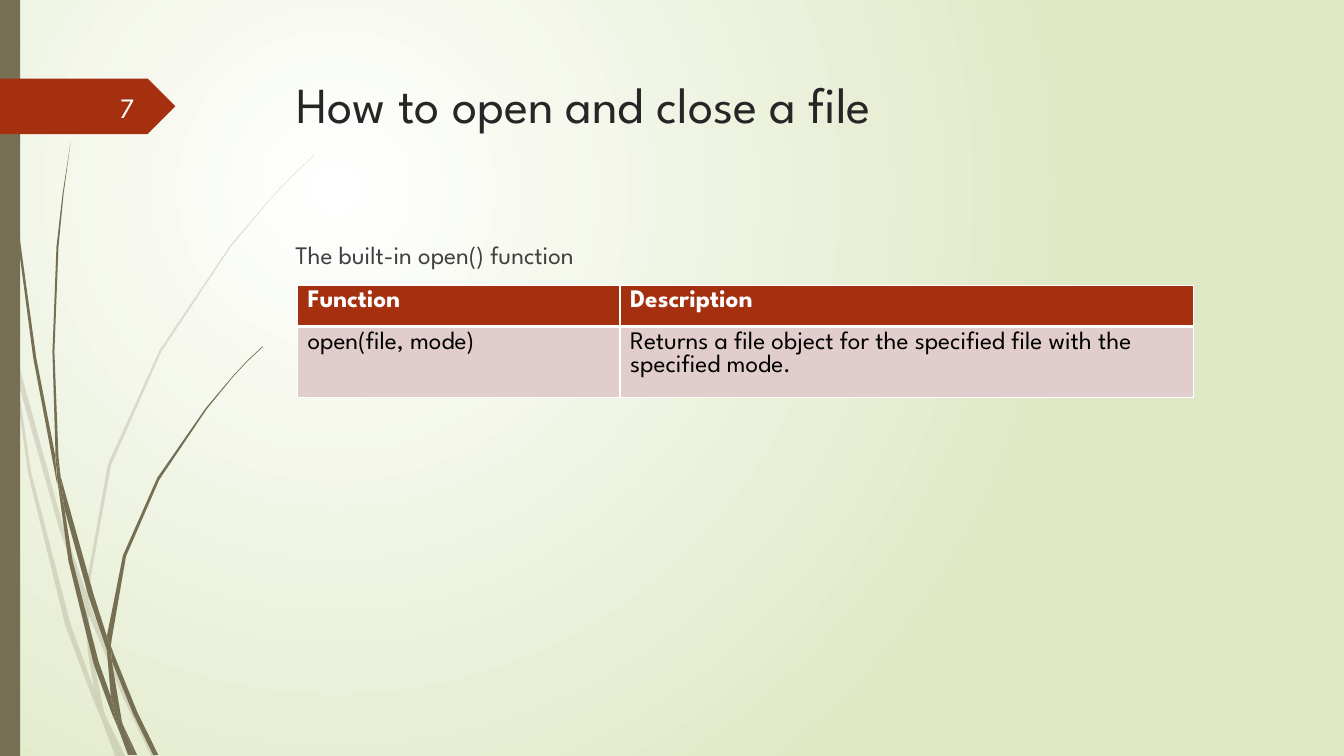
from lxml import etree
from pptx import Presentation
from pptx.dml.color import RGBColor
from pptx.enum.shapes import MSO_SHAPE
from pptx.enum.text import MSO_ANCHOR, PP_ALIGN
from pptx.oxml.ns import qn
from pptx.util import Inches, Pt

RECTANGLE, PENTAGON = MSO_SHAPE.RECTANGLE, MSO_SHAPE.PENTAGON
LEFT, RIGHT = PP_ALIGN.LEFT, PP_ALIGN.RIGHT
TOP, MIDDLE = MSO_ANCHOR.TOP, MSO_ANCHOR.MIDDLE
FONT = "League Spartan"
COLORS = {"white": "FFFFFF", "meadow": "DFE8C4", "stem": "766F54", "rust": "A53010",
          "title": "262626", "body": "404040", "number": "FEFFFF", "black": "000000",
          "blush": "E1CDCC"}
CELL = Inches(0.01)
COLUMNS, ROWS = 1333, 750

PALE_STEMS = [
    "11 350 9 322 0 282 0 299 10 344",
    "58 522 84 599 85 586 62 520 14 345 17 376",
    "92 607 88 596 88 610 123 694 150 751 155 751 127 692",
    "119 751 124 751 105 711",
    "93 683 70 619 31 469 17 376 11 350 28 470 65 621 92 693 101 714 99 707",
    "84 599 87 646 93 683 96 692 105 711 103 706 91 646 88 610 88 608",
    "88 584 110 462 160 349 229 245 268 198 290 175 312 154 312 153 289 175 268 197 228 244 "
    "158 348 107 461 85 584 85 586 88 596",
    "101 714 114 751 119 751",
    "88 608 88 610 88 596 85 586 84 599",
    "96 692 93 683 99 707 101 714 119 751 105 711",
]
DARK_STEMS = [
    "7 110 17 233 33 355 56 477 57 481 55 457 55 453 36 355 19 232 8 109 5 48 4 0 3 0 4 48",
    "88 592 106 645 106 633 106 631 93 590 60 472 64 505",
    "113 649 110 641 111 656 132 708 152 749 157 749 136 706",
    "110 691 98 657 72 556 64 505 57 477 68 557 93 659 111 708 117 722 116 717",
    "60 472 58 453 54 349 58 245 63 193 70 141 62 193 56 245 52 349 55 449",
    "133 749 136 749 122 719",
    "57 477 64 505 60 472 55 449 55 453",
    "111 633 125 552 158 476 205 406 231 374 245 359 261 344 260 344 245 358 231 373 204 405 "
    "156 474 122 551 106 631 110 641",
    "117 722 127 749 131 749",
    "106 645 110 691 116 706 122 719 121 716 111 656 109 651",
    "106 645 109 651 111 656 110 641 106 631 106 633",
    "116 706 110 691 116 717 117 722 130 749 133 749 122 719",
]


def write(frame, text, size, color, bold=False, align=LEFT, anchor=TOP, before=0):
    frame.word_wrap = True
    frame.vertical_anchor = anchor
    para = frame.paragraphs[0]
    para.alignment = align
    para.space_before = Pt(before)
    span = para.add_run()
    span.text = text
    span.font.name, span.font.size, span.font.bold = FONT, Pt(size), bold
    span.font.color.rgb = RGBColor.from_string(COLORS[color])


def paint(shape, color):
    shape.shadow.inherit = False
    shape.fill.solid()
    shape.fill.fore_color.rgb = RGBColor.from_string(COLORS[color])
    shape.line.fill.background()


deck = Presentation()
deck.slide_width, deck.slide_height = COLUMNS * CELL, ROWS * CELL
page = deck.slides.add_slide(deck.slide_layouts[6])

backdrop = page.background.fill
backdrop.gradient()
for stop, color, position in zip(backdrop.gradient_stops, ("white", "meadow"), (0, 1)):
    stop.color.rgb = RGBColor.from_string(COLORS[color])
    stop.position = position
gradient = page.element.find(".//" + qn("a:gradFill"))
gradient.remove(gradient.find(qn("a:lin")))
circle = etree.SubElement(gradient, qn("a:path"), {"path": "circle"})
etree.SubElement(circle, qn("a:fillToRect"), l="50000", t="50000", r="100000", b="100000")

for outlines, opacity in ((PALE_STEMS, 20), (DARK_STEMS, 100)):
    stems = page.shapes.add_group_shape()
    for outline in outlines:
        numbers = [min(int(number), ROWS) for number in outline.split()]
        points = list(zip(numbers[::2], numbers[1::2]))
        builder = stems.shapes.build_freeform(*points[0], scale=CELL)
        builder.add_line_segments(points[1:], close=True)
        stem = builder.convert_to_shape()
        paint(stem, "stem")
        if opacity < 100:
            tint = stem.element.spPr.find(qn("a:solidFill")).find(qn("a:srgbClr"))
            etree.SubElement(tint, qn("a:alpha"), val=str(opacity * 1000))

for kind, top, width, height, color in ((RECTANGLE, 0, 20, ROWS, "stem"),
                                        (PENTAGON, 78, 174, 55, "rust")):
    shape = page.shapes.add_shape(kind, 0, top * CELL, width * CELL, height * CELL)
    paint(shape, color)

for place, text, style in (
    ((284, 68, 975, 140), "How to open and close a file", dict(size=36, color="title")),
    ((58, 86, 85, 40), "7", dict(size=20, color="number", align=RIGHT, anchor=MIDDLE)),
    ((283, 233, 975, 413), "The built-in open() function", dict(size=18, color="body", before=10)),
):
    box = page.shapes.add_textbox(*(length * CELL for length in place))
    write(box.text_frame, text, **style)

content = [("Function", "Description"),
           ("open(file, mode)", "Returns a file object for the specified file with the specified mode.")]
looks = [("rust", "white", True, dict(L=1, R=1, T=1, B=3)),
         ("blush", "black", False, dict(L=1, R=1, T=3, B=1))]
table = page.shapes.add_table(2, 2, 295 * CELL, 283 * CELL, 889 * CELL, 82 * CELL).table
table.first_row = table.horz_banding = False
for column, width in zip(table.columns, (320, 569)):
    column.width = width * CELL
for row, texts, (fill, color, bold, borders) in zip(table.rows, content, looks):
    row.height = 41 * CELL
    for cell, text in zip(row.cells, texts):
        write(cell.text_frame, text, 18, color, bold=bold)
        for side, points in borders.items():
            edge = etree.SubElement(cell._tc.get_or_add_tcPr(), qn("a:ln" + side), w=str(int(Pt(points))))
            solid = etree.SubElement(edge, qn("a:solidFill"))
            etree.SubElement(solid, qn("a:srgbClr"), val=COLORS["white"])
        cell.fill.solid()
        cell.fill.fore_color.rgb = RGBColor.from_string(COLORS[fill])

deck.save("out.pptx")
